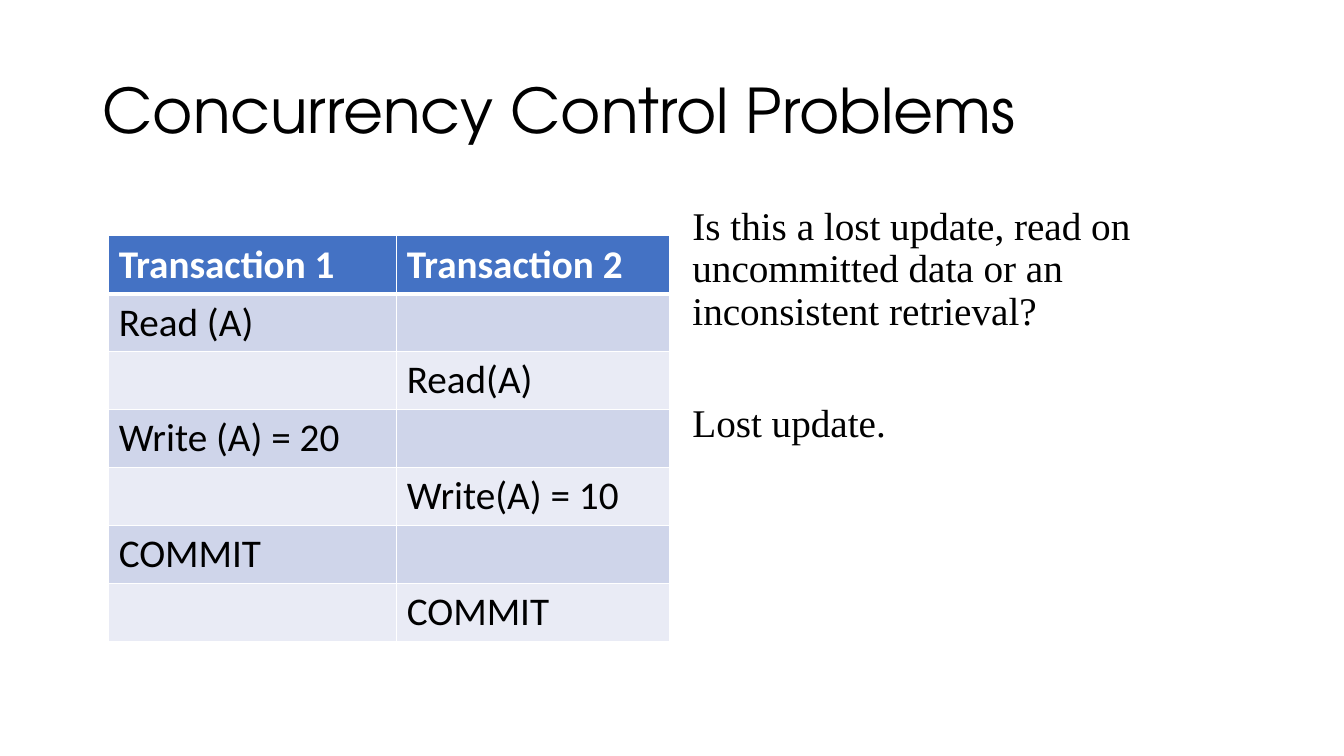
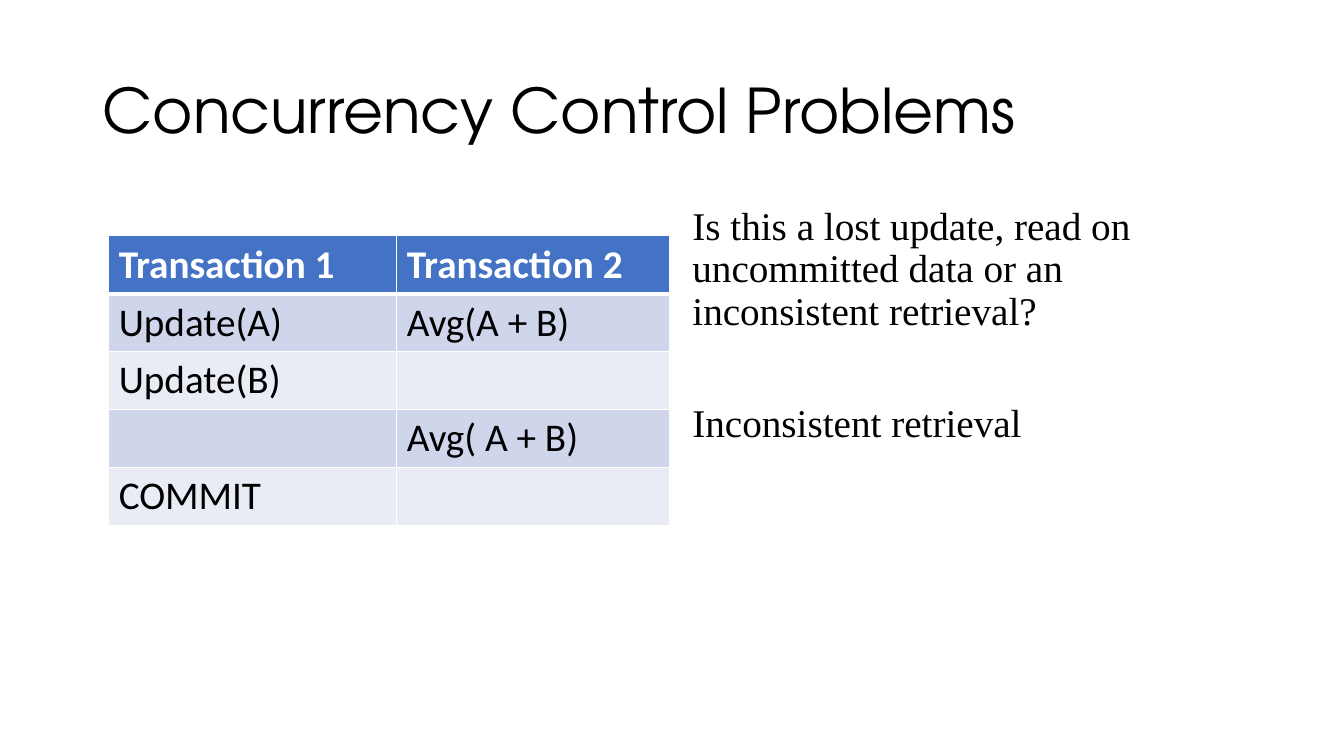
from lxml.etree import SubElement as Sub
from pptx import Presentation as Deck
from pptx.dml.color import RGBColor as Rgb
from pptx.enum.text import MSO_ANCHOR as Anchor
from pptx.oxml.ns import qn
from pptx.util import Cm, Pt

WHITE = Rgb(0xFF, 0xFF, 0xFF)
BLACK = Rgb(0x00, 0x00, 0x00)
BLUE = Rgb(0x44, 0x72, 0xC4)
BANDS = Rgb(0xE9, 0xEB, 0xF5), Rgb(0xCF, 0xD5, 0xEA)

TITLE = "Concurrency Control Problems"
QUERY = "Is this a lost update, read on uncommitted data or an inconsistent retrieval?"
HEAD = "Transaction 1", "Transaction 2"
COLS = Cm(7.26), Cm(6.88)
ROW = Cm(1.46)

CASES = [
    (
        [
            ("Read (A)", ""),
            ("", "Read(A)"),
            ("Write (A) = 20", ""),
            ("", "Write(A) = 10"),
            ("COMMIT", ""),
            ("", "COMMIT"),
        ],
        "Lost update.",
    ),
    (
        [
            ("Update(A)", "Avg(A + B)"),
            ("Update(B)", ""),
            ("", "Avg( A + B)"),
            ("COMMIT", ""),
        ],
        "Inconsistent retrieval",
    ),
]


def add_run(para, text, face, size, color=BLACK, bold=False):
    run = para.add_run()
    run.text = text
    font = run.font
    font.name, font.size, font.bold = face, Pt(size), bold
    font.color.rgb = color


def add_box(slide, left, top, width, height):
    frame = slide.shapes.add_textbox(Cm(left), Cm(top), Cm(width), Cm(height)).text_frame
    frame.word_wrap = True
    return frame


def add_title(slide):
    frame = add_box(slide, 2.34, 1.02, 29.21, 3.68)
    frame.vertical_anchor = Anchor.MIDDLE
    para = frame.paragraphs[0]
    para.line_spacing = 0.9
    add_run(para, TITLE, "TeX Gyre Adventor", 44)


def add_body(slide, reply):
    frame = add_box(slide, 16.89, 5.08, 14.66, 12.09)
    frame.margin_left = Cm(0.56)
    first, last = frame.paragraphs[0], frame.add_paragraph()
    last.space_before = Pt(50)
    for para, text in (first, QUERY), (last, reply):
        para.line_spacing = 0.9
        add_run(para, text, "Times New Roman", 28)


def add_edge(cell, side, width):
    line = Sub(cell._tc.get_or_add_tcPr(), qn(f"a:ln{side}"), w=str(Pt(width)))
    fill = Sub(line, qn("a:solidFill"))
    Sub(fill, qn("a:srgbClr"), val=str(WHITE))


def style_cell(cell, row, text):
    top = row == 0
    thick = {0: "B", 1: "T"}.get(row)
    for side in "LRTB":
        add_edge(cell, side, 3 if side == thick else 1)
    cell.fill.solid()
    cell.fill.fore_color.rgb = BLUE if top else BANDS[row % 2]
    if text:
        para = cell.text_frame.paragraphs[0]
        add_run(para, text, "Calibri", 28, WHITE if top else BLACK, top)


def add_grid(slide, steps):
    rows = [HEAD, *steps]
    table = slide.shapes.add_table(
        len(rows), len(COLS), Cm(2.74), Cm(5.94), sum(COLS), ROW * len(rows)
    ).table
    for col, width in zip(table.columns, COLS):
        col.width = width
    for r, texts in enumerate(rows):
        table.rows[r].height = ROW
        for c, text in enumerate(texts):
            style_cell(table.cell(r, c), r, text)


def main():
    deck = Deck()
    deck.slide_width, deck.slide_height = Cm(33.87), Cm(19.05)
    for steps, reply in CASES:
        slide = deck.slides.add_slide(deck.slide_layouts[6])
        add_title(slide)
        add_grid(slide, steps)
        add_body(slide, reply)
    deck.save("out.pptx")


if __name__ == "__main__":
    main()
